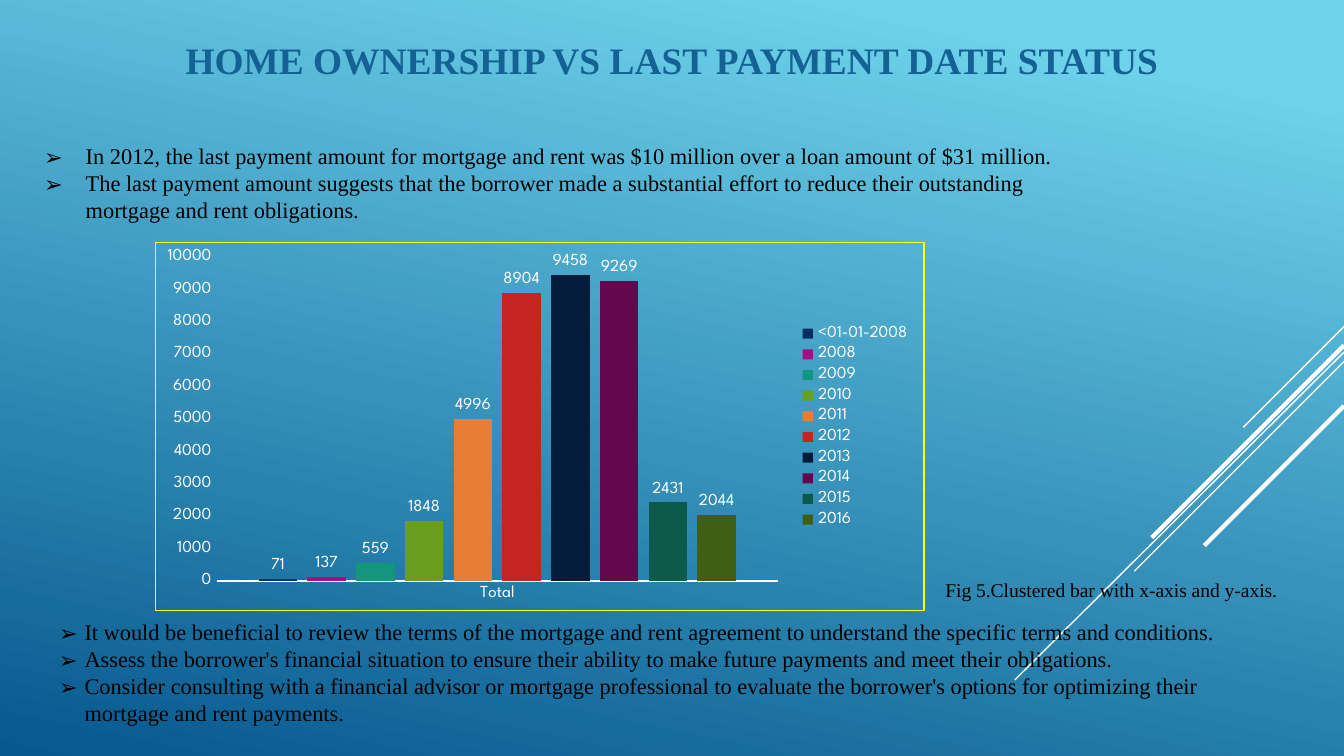
"""Build the home ownership and last payment date slide."""
from pptx import Presentation
from pptx.chart.data import CategoryChartData
from pptx.dml.color import RGBColor
from pptx.enum.chart import XL_CHART_TYPE, XL_LABEL_POSITION, XL_LEGEND_POSITION, XL_TICK_MARK
from pptx.enum.shapes import MSO_CONNECTOR
from pptx.enum.text import MSO_ANCHOR, PP_ALIGN
from pptx.oxml import parse_xml
from pptx.oxml.ns import nsdecls, qn
from pptx.util import Pt

PX = 9144
SLIDE_WIDTH = 1000
WHITE = RGBColor(0xFF, 0xFF, 0xFF)
BLACK = RGBColor(0x00, 0x00, 0x00)
YELLOW = RGBColor(0xFF, 0xFF, 0x00)
TITLE_BLUE = RGBColor(0x14, 0x61, 0x94)
SKY = RGBColor(0x6E, 0xD2, 0xEB)
DEEP_BLUE = RGBColor(0x06, 0x58, 0x8E)

SERIES = [
    ("<01-01-2008", 71, RGBColor(0x05, 0x2F, 0x61)),
    ("2008", 137, RGBColor(0xA5, 0x0E, 0x82)),
    ("2009", 559, RGBColor(0x14, 0x96, 0x7C)),
    ("2010", 1848, RGBColor(0x6A, 0x9E, 0x1F)),
    ("2011", 4996, RGBColor(0xE8, 0x7D, 0x37)),
    ("2012", 8904, RGBColor(0xC6, 0x23, 0x24)),
    ("2013", 9458, RGBColor(0x03, 0x1C, 0x3A)),
    ("2014", 9269, RGBColor(0x63, 0x08, 0x4E)),
    ("2015", 2431, RGBColor(0x0C, 0x5A, 0x4A)),
    ("2016", 2044, RGBColor(0x40, 0x5F, 0x13)),
]
STRIPES = [
    (243, 925, 318, 0.75),
    (262, 755, 506, 0.75),
    (269, 844, 425, 0.75),
    (257, 857, 400, 2.25),
    (302, 896, 406, 2.25),
]
FINDINGS = [
    "In 2012, the last payment amount for mortgage and rent was $10 million over a loan amount of $31 million.",
    "The last payment amount suggests that the borrower made a substantial effort to reduce their outstanding "
    "mortgage and rent obligations.",
]
ADVICE = [
    "It would be beneficial to review the terms of the mortgage and rent agreement to understand the specific "
    "terms and conditions.",
    "Assess the borrower's financial situation to ensure their ability to make future payments and meet their "
    "obligations.",
    "Consider consulting with a financial advisor or mortgage professional to evaluate the borrower's options "
    "for optimizing their mortgage and rent payments.",
]


def style_font(font, name="Times New Roman", size=12, color=BLACK, bold=False):
    font.name = name
    font.size = Pt(size)
    font.bold = bold
    font.color.rgb = color


def write_text(paragraph, text, align=PP_ALIGN.LEFT, indent=0, **style):
    paragraph.alignment = align
    if indent:
        properties = paragraph._p.get_or_add_pPr()
        properties.set("marL", str(indent * PX))
        properties.set("indent", str(-indent * PX))
        for bullet_part in (
            f'<a:buClr {nsdecls("a")}><a:srgbClr val="{BLACK}"/></a:buClr>',
            f'<a:buFont {nsdecls("a")} typeface="Noto Sans Symbols"/>',
            f'<a:buChar {nsdecls("a")} char="➢"/>',
        ):
            properties.append(parse_xml(bullet_part))
    run = paragraph.add_run()
    run.text = text
    style_font(run.font, **style)


class SlideBuilder:
    def __init__(self, slide):
        self.slide = slide
        self.chart_style = {"name": "League Spartan", "size": 9, "color": WHITE}

    def background(self, start, end, angle):
        fill = self.slide.background.fill
        fill.gradient()
        fill.gradient_angle = 360 - angle
        first, last = fill.gradient_stops
        first.position, first.color.rgb = 0.1, start
        last.position, last.color.rgb = 1, end

    def line(self, left, top, right, bottom, width):
        connector = self.slide.shapes.add_connector(
            MSO_CONNECTOR.STRAIGHT, left * PX, top * PX, right * PX, bottom * PX)
        connector.line.color.rgb = WHITE
        connector.line.width = Pt(width)
        connector._element.spPr.append(parse_xml(f'<a:effectLst {nsdecls("a")}/>'))

    def text(self, left, top, width, height, lines, anchor=MSO_ANCHOR.TOP, **style):
        shape = self.slide.shapes.add_textbox(left * PX, top * PX, width * PX, height * PX)
        frame = shape.text_frame
        frame.word_wrap = True
        frame.vertical_anchor = anchor
        for index, line in enumerate(lines):
            paragraph = frame.add_paragraph() if index else frame.paragraphs[0]
            write_text(paragraph, line, **style)

    def column_chart(self, left, top, width, height, category, series_rows):
        data = CategoryChartData()
        data.categories = [category]
        for name, value, _ in series_rows:
            data.add_series(name, [value])
        chart = self.slide.shapes.add_chart(
            XL_CHART_TYPE.COLUMN_CLUSTERED, left * PX, top * PX, width * PX, height * PX, data).chart
        style_font(chart.font, **{**self.chart_style, "size": 10})
        chart.has_title = False
        chart.has_legend = True
        chart.legend.position = XL_LEGEND_POSITION.RIGHT
        chart.legend.include_in_layout = False
        style_font(chart.legend.font, **self.chart_style)
        for axis in (chart.category_axis, chart.value_axis):
            axis.major_tick_mark = axis.minor_tick_mark = XL_TICK_MARK.NONE
            axis.has_major_gridlines = False
            style_font(axis.tick_labels.font, **self.chart_style)
        chart.category_axis.format.line.color.rgb = WHITE
        chart.category_axis.format.line.width = Pt(0.75)
        chart.value_axis.format.line.fill.background()
        chart.value_axis.minimum_scale = 0
        chart.value_axis.maximum_scale = 10000
        chart.value_axis.major_unit = 1000
        plot = chart.plots[0]
        plot.vary_by_categories = False
        plot.gap_width, plot.overlap = 219, -27
        for series, (_, _, color) in zip(plot.series, series_rows):
            series.format.fill.solid()
            series.format.fill.fore_color.rgb = color
            labels = series.data_labels
            labels.show_value = True
            labels.position = XL_LABEL_POSITION.OUTSIDE_END
            style_font(labels.font, **self.chart_style)
        self.frame_chart(chart)

    def frame_chart(self, chart):
        chart_element = chart._chartSpace.find(qn("c:chart"))
        chart_element.addnext(parse_xml(
            f'<c:spPr {nsdecls("c", "a")}><a:noFill/><a:ln w="{Pt(0.75)}"><a:solidFill>'
            f'<a:srgbClr val="{YELLOW}"/></a:solidFill></a:ln></c:spPr>'))
        plot_area = chart_element.find(qn("c:plotArea"))
        for layout in plot_area.findall(qn("c:layout")):
            plot_area.remove(layout)
        bounds = {"x": 0.08, "y": 0.04, "w": 0.73, "h": 0.88}
        sides = "".join(f'<c:{side} val="{value}"/>' for side, value in bounds.items())
        plot_area.insert(0, parse_xml(
            f'<c:layout {nsdecls("c")}><c:manualLayout><c:layoutTarget val="inner"/>'
            f'<c:xMode val="edge"/><c:yMode val="edge"/>{sides}</c:manualLayout></c:layout>'))


def main():
    presentation = Presentation()
    presentation.slide_width = SLIDE_WIDTH * PX
    presentation.slide_height = SLIDE_WIDTH * PX * 9 // 16
    builder = SlideBuilder(presentation.slides.add_slide(presentation.slide_layouts[6]))
    builder.background(SKY, DEEP_BLUE, 102)
    for top, right, bottom, width in STRIPES:
        builder.line(SLIDE_WIDTH, top, right, bottom, width)
    builder.text(87, 20, 826, 48, ["HOME OWNERSHIP VS LAST PAYMENT DATE STATUS"],
                 anchor=MSO_ANCHOR.MIDDLE, align=PP_ALIGN.CENTER, size=20, color=TITLE_BLUE, bold=True)
    builder.text(34, 455, 898, 91, ADVICE, indent=19)
    builder.text(630, 425, 394, 28, ["Fig 5.Clustered bar with x-axis and y-axis."],
                 align=PP_ALIGN.CENTER, size=10.5)
    builder.column_chart(115, 180, 573, 275, "Total", SERIES)
    builder.text(23, 101, 796, 71, FINDINGS, indent=31)
    presentation.save("out.pptx")


if __name__ == "__main__":
    main()
